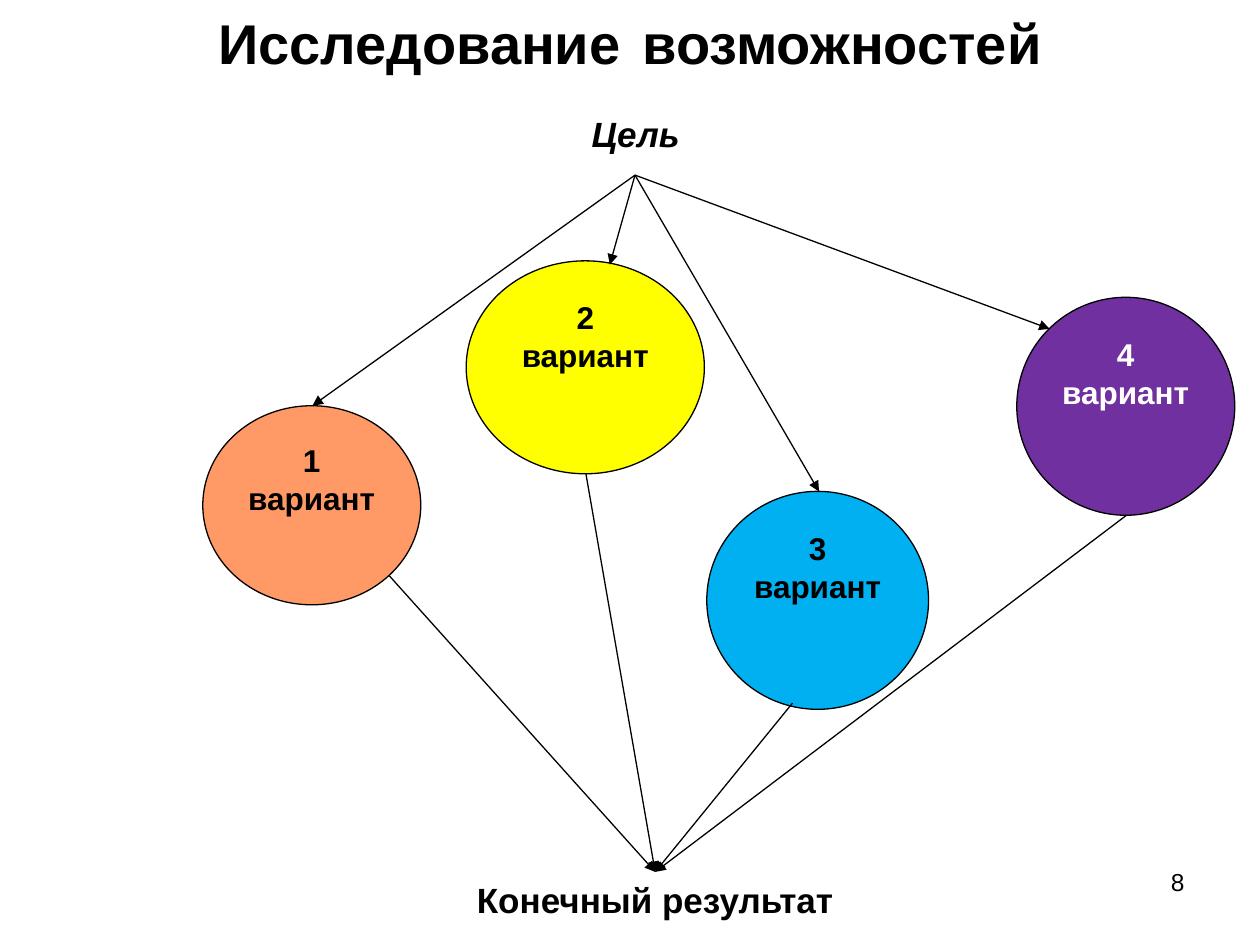
from dataclasses import dataclass

import pptx
import pptx.dml.color
import pptx.enum.shapes
import pptx.enum.text
import pptx.oxml.ns
import pptx.util
from lxml import etree

SCALE = 9144  # EMU per px, at 100 px to the inch
SHAPES = pptx.enum.shapes.MSO_SHAPE
ALIGN = pptx.enum.text.PP_ALIGN
ANCHOR = pptx.enum.text.MSO_ANCHOR


@dataclass(frozen=True)
class Theme:
    font: str = "Arial"
    black: str = "000000"
    white: str = "FFFFFF"
    orange: str = "FF9966"
    yellow: str = "FFFF00"
    blue: str = "00B0F0"
    purple: str = "7030A0"
    title: int = 32
    title_gap: int = 44
    label: int = 20
    option: int = 18
    number: int = 14
    line: float = 0.75


def px(value):
    return pptx.util.Emu(value * SCALE)


def rgb(color):
    return pptx.dml.color.RGBColor.from_string(color)


class Painter:
    def __init__(self, page, theme):
        self.page = page
        self.theme = theme

    def set_text(self, frame, spans, color, align=ALIGN.CENTER,
                 anchor=ANCHOR.TOP, bold=True, italic=False):
        """Fill a frame with one paragraph of (text, size) spans."""
        frame.word_wrap = True
        frame.vertical_anchor = anchor
        para = frame.paragraphs[0]
        para.alignment = align
        for text, size in spans:
            span = para.add_run()
            span.text = text
            font = span.font
            font.name = self.theme.font
            font.size = pptx.util.Pt(size)
            font.bold = bold
            font.italic = italic
            font.color.rgb = rgb(color)

    def title(self, spans, box):
        holder = self.page.shapes.title
        holder.left, holder.top, holder.width, holder.height = map(px, box)
        frame = holder.text_frame
        frame.auto_size = pptx.enum.text.MSO_AUTO_SIZE.NONE
        frame.margin_top, frame.margin_bottom = px(10), px(0)
        self.set_text(frame, spans, self.theme.black, anchor=ANCHOR.MIDDLE)

    def number(self, text, box):
        holder = self.page.shapes.add_textbox(*map(px, box))
        self.set_text(holder.text_frame, [(text, self.theme.number)],
                      self.theme.black, align=ALIGN.RIGHT, bold=False)

    def label(self, text, box, italic=False):
        shape = self.page.shapes.add_shape(SHAPES.FLOWCHART_PROCESS, *map(px, box))
        shape.shadow.inherit = False
        shape.fill.background()
        shape.line.fill.background()
        self.set_text(shape.text_frame, [(text, self.theme.label)],
                      self.theme.black, italic=italic)

    def circle(self, text, box, fill, color):
        shape = self.page.shapes.add_shape(SHAPES.OVAL, *map(px, box))
        shape.shadow.inherit = False
        shape.fill.solid()
        shape.fill.fore_color.rgb = rgb(fill)
        self.stroke(shape.line)
        self.set_text(shape.text_frame, [(text, self.theme.option)], color)

    def arrow(self, start, end):
        connector = self.page.shapes.add_connector(
            pptx.enum.shapes.MSO_CONNECTOR.STRAIGHT, *map(px, start + end))
        self.stroke(connector.line)
        name = pptx.oxml.ns.qn
        properties = connector.element.spPr
        etree.SubElement(properties.find(name("a:ln")), name("a:tailEnd"),
                         type="triangle")
        etree.SubElement(properties, name("a:effectLst"))

    def stroke(self, line):
        line.color.rgb = rgb(self.theme.black)
        line.width = pptx.util.Pt(self.theme.line)


def main():
    theme = Theme()
    deck = pptx.Presentation()
    deck.slide_width, deck.slide_height = px(1000), px(750)
    page = deck.slides.add_slide(deck.slide_layouts[5])
    painter = Painter(page, theme)

    # Title and page number
    painter.title([("Исследование", theme.title), (" ", theme.title_gap),
                   ("возможностей", theme.title)], (0, 0, 1000, 44))
    painter.number("8", (717, 683, 233, 52))

    # Goal at the top, result at the bottom
    painter.label("Цель", (335, 84, 339, 55), italic=True)
    painter.label("Конечный результат", (343, 692, 354, 52))
    goal, result = (504, 139), (520, 692)

    # Options: box, fill, text colour, arrow entry and exit points
    options = [
        ((161, 322, 173, 158), theme.orange, theme.black, (248, 322), (309, 457)),
        ((370, 207, 189, 169), theme.yellow, theme.black, (484, 210), (465, 376)),
        ((561, 390, 176, 173), theme.blue, theme.black, (650, 390), (629, 558)),
        ((807, 236, 173, 173), theme.purple, theme.white, (833, 261), (894, 409)),
    ]
    for index, (box, fill, color, entry, leave) in enumerate(options, 1):
        painter.circle(f"{index} вариант", box, fill, color)
        painter.arrow(goal, entry)
        painter.arrow(leave, result)

    deck.save("out.pptx")


if __name__ == "__main__":
    main()
